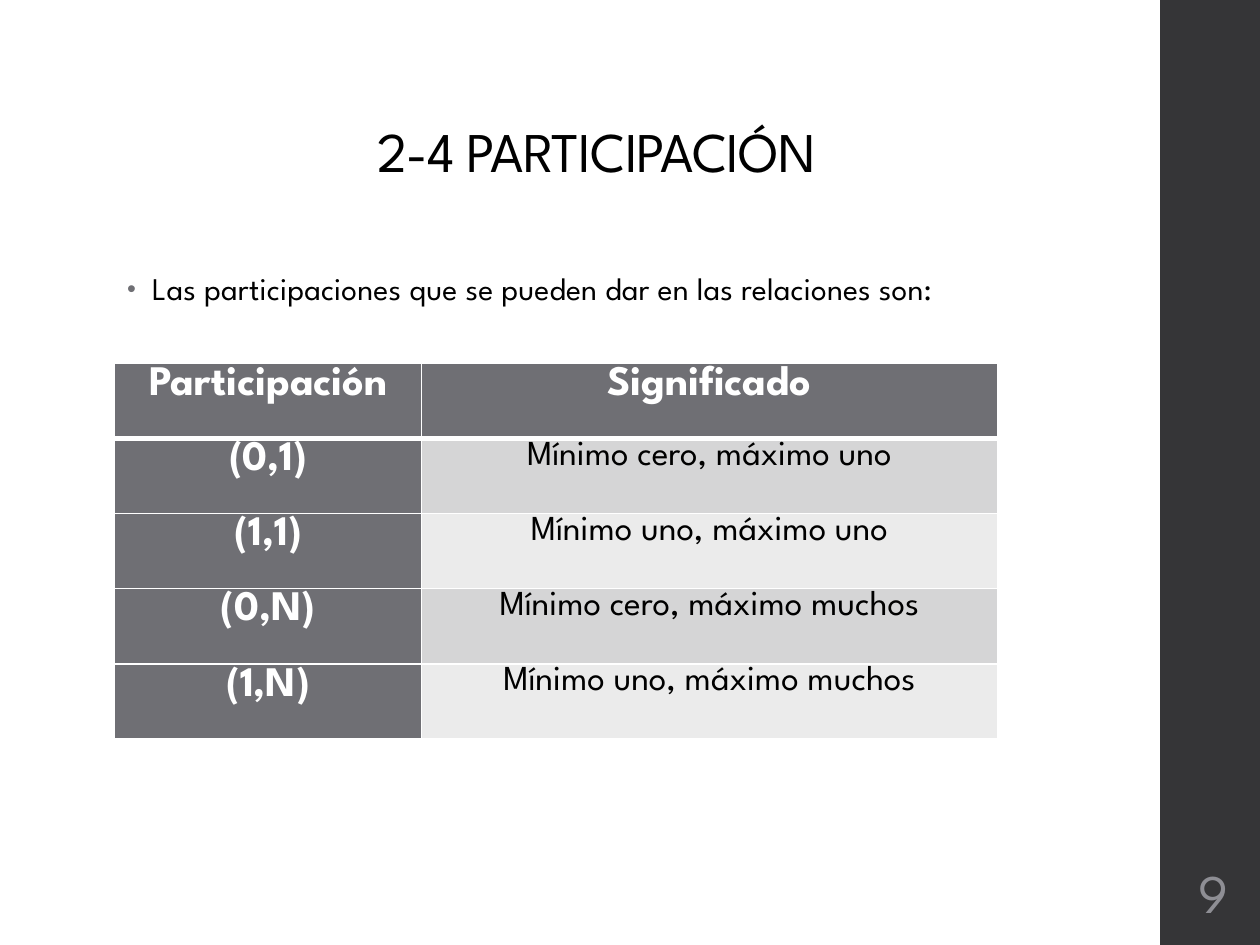
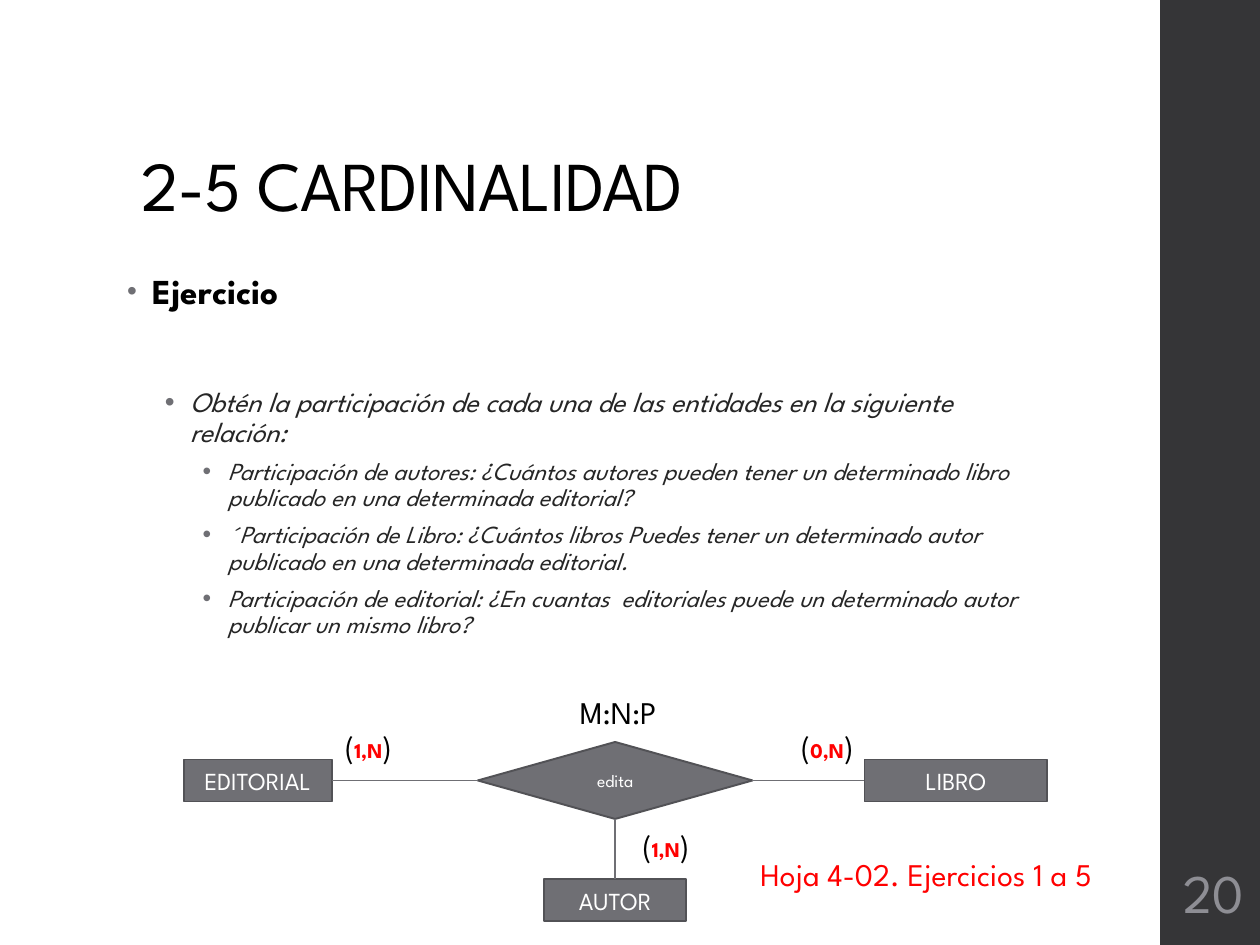
import pptx
import pptx.dml.color
import pptx.enum.shapes
import pptx.enum.text
import pptx.oxml
import pptx.oxml.ns
import pptx.util
import lxml.etree

Pt = pptx.util.Pt
ALIGN = pptx.enum.text.PP_ALIGN
ANCHOR = pptx.enum.text.MSO_ANCHOR
SHAPE = pptx.enum.shapes.MSO_SHAPE
TOP, LEFT, BOTTOM, RIGHT = range(4)


def color(hex_text):
    return pptx.dml.color.RGBColor.from_string(hex_text)


def add_element(parent, tag, **attributes):
    element = lxml.etree.SubElement(parent, pptx.oxml.ns.qn(tag))
    for name, value in attributes.items():
        element.set(name, str(value))
    return element


class Deck:
    font = "League Spartan"
    black, white, red = "000000", "FFFFFF", "FF0000"
    gray, outline, dark = "6F6F74", "525256", "353537"
    soft_black, number_gray = "262626", "8E8E94"
    stripes = ("D5D5D6", "EBEBEB")

    def __init__(self):
        self.presentation = pptx.Presentation()
        self.presentation.slide_width = Pt(720)
        self.presentation.slide_height = Pt(540)
        self.slide = None

    def start_slide(self, number):
        self.slide = self.presentation.slides.add_slide(self.presentation.slide_layouts[6])
        self.slide.background.fill.solid()
        self.slide.background.fill.fore_color.rgb = color(self.white)
        band = self.slide.shapes.add_shape(SHAPE.RECTANGLE, Pt(663), 0, Pt(57), Pt(540))
        self.paint(band, self.dark)
        frame = self.text_box(667, 486, 53, 47, ANCHOR.MIDDLE)
        frame.margin_left = frame.margin_right = Pt(2)
        paragraph = self.paragraph(frame, ALIGN.CENTER, after=6)
        self.run(paragraph, str(number), 31, self.number_gray)

    def paint(self, shape, fill, line=None):
        shape.shadow.inherit = False
        shape.fill.solid()
        shape.fill.fore_color.rgb = color(fill)
        if line:
            shape.line.color.rgb = color(line)
            shape.line.width = Pt(1.1)
        else:
            shape.line.fill.background()

    def text_box(self, left, top, width, height, anchor=ANCHOR.TOP):
        shape = self.slide.shapes.add_textbox(Pt(left), Pt(top), Pt(width), Pt(height))
        frame = shape.text_frame
        frame.word_wrap = True
        frame.vertical_anchor = anchor
        return frame

    def paragraph(self, frame, align=ALIGN.LEFT, spacing=None, before=0, after=0):
        paragraph = frame.paragraphs[0]
        if paragraph.runs:
            paragraph = frame.add_paragraph()
        paragraph.alignment = align
        paragraph.space_before = Pt(before)
        paragraph.space_after = Pt(after)
        if spacing:
            paragraph.line_spacing = spacing
        return paragraph

    def run(self, paragraph, text, size, ink, bold=False, italic=False, tracking=0):
        run = paragraph.add_run()
        run.text = text
        run.font.name = self.font
        run.font.size = Pt(size)
        run.font.color.rgb = color(ink)
        run.font.bold = bold
        run.font.italic = italic
        if tracking:
            run.font._element.set("spc", str(tracking))

    def title(self, text, size, box, align):
        frame = self.text_box(*box, ANCHOR.BOTTOM)
        paragraph = self.paragraph(frame, align, spacing=0.9)
        self.run(paragraph, text, size, self.black, tracking=-50)

    def bullet(self, frame, text, size, level=0, before=3, **style):
        if level:
            spacing, after, scale, ink = 0.9, 3, 100, self.soft_black
        else:
            spacing, before, after, scale, ink = 0.95, 14, 2, 80, self.black
            style["tracking"] = 10
        paragraph = self.paragraph(frame, ALIGN.LEFT, spacing, before, after)
        paragraph.level = level
        properties = paragraph._p.get_or_add_pPr()
        properties.set("marL", str(Pt(14.4 + 21.6 * level)))
        properties.set("indent", str(-Pt(14.4)))
        add_element(add_element(properties, "a:buClr"), "a:srgbClr", val=self.gray)
        add_element(properties, "a:buSzPct", val=scale * 1000)
        add_element(properties, "a:buFont", typeface="Arial")
        add_element(properties, "a:buChar", char="•")
        self.run(paragraph, text, size, ink, **style)

    def cell(self, cell, text, fill, emphasized, bottom=1):
        properties = cell._tc.get_or_add_tcPr()
        for side, width in (("L", 1), ("R", 1), ("T", 1), ("B", bottom)):
            line = add_element(properties, "a:ln" + side, w=Pt(width))
            add_element(add_element(line, "a:solidFill"), "a:srgbClr", val=self.white)
        cell.fill.solid()
        cell.fill.fore_color.rgb = color(fill)
        cell.margin_left = cell.margin_right = Pt(5)
        cell.margin_top = cell.margin_bottom = 0
        paragraph = self.paragraph(cell.text_frame, ALIGN.CENTER, spacing=1.07)
        if emphasized:
            self.run(paragraph, text, 24, self.white, bold=True)
        else:
            self.run(paragraph, text, 20, self.black)

    def table(self, rows, left, top, widths, row_height):
        table = self.slide.shapes.add_table(
            len(rows), len(widths), Pt(left), Pt(top),
            Pt(sum(widths)), Pt(row_height * len(rows))).table
        table.horz_banding = False
        for column, width in zip(table.columns, widths):
            column.width = Pt(width)
        for row_index, texts in enumerate(rows):
            table.rows[row_index].height = Pt(row_height)
            for column_index, text in enumerate(texts):
                heading = row_index == 0 or column_index == 0
                fill = self.gray if heading else self.stripes[(row_index - 1) % 2]
                self.cell(table.cell(row_index, column_index), text, fill, heading,
                          bottom=3 if row_index == 0 else 1)

    def node(self, kind, text, size, left, top, width, height):
        shape = self.slide.shapes.add_shape(kind, Pt(left), Pt(top), Pt(width), Pt(height))
        self.paint(shape, self.gray, self.outline)
        shape.text_frame.word_wrap = True
        shape.text_frame.vertical_anchor = ANCHOR.MIDDLE
        paragraph = self.paragraph(shape.text_frame, ALIGN.CENTER)
        self.run(paragraph, text, size, self.white)
        return shape

    def link(self, start, start_site, end, end_site):
        line = self.slide.shapes.add_connector(
            pptx.enum.shapes.MSO_CONNECTOR.STRAIGHT, 0, 0, 0, 0)
        line.begin_connect(start, start_site)
        line.end_connect(end, end_site)
        line.line.color.rgb = color(self.gray)
        line.line.width = Pt(0.75)
        add_element(line._element.spPr, "a:effectLst")

    def label(self, left, top, width, parts, align=ALIGN.LEFT):
        frame = self.text_box(left, top, width, 29)
        paragraph = self.paragraph(frame, align)
        for text, size, ink, bold in parts:
            self.run(paragraph, text, size, ink, bold)

    def participation(self, left, top, width, text):
        self.label(left, top, width, [
            ("(", 18, self.black, False),
            (text, 12, self.red, True),
            (")", 18, self.black, False)])


deck = Deck()

deck.start_slide(9)
body = deck.text_box(65.5, 152, 566.5, 50)
deck.bullet(body, "Las participaciones que se pueden dar en las relaciones son:", 18)
deck.table([
    ("Participación", "Significado"),
    ("(0,1)", "Mínimo cero, máximo uno"),
    ("(1,1)", "Mínimo uno, máximo uno"),
    ("(0,N)", "Mínimo cero, máximo muchos"),
    ("(1,N)", "Mínimo uno, máximo muchos"),
], 65.5, 207.5, (175.5, 329), 43)
deck.title("2-4 PARTICIPACIÓN", 32, (39, 47, 604, 62), ALIGN.CENTER)

deck.start_slide(20)
deck.title("2-5 CARDINALIDAD", 40, (74, 29, 572.5, 104), ALIGN.LEFT)
body = deck.text_box(65.5, 152, 527, 288)
deck.bullet(body, "Ejercicio", 20, bold=True)
deck.bullet(body, "Obtén la participación de cada una de las entidades en la siguiente relación:",
            16, level=1, before=41.5, italic=True)
for question in (
    "Participación de autores: ¿Cuántos autores pueden tener un determinado libro "
    "publicado en una determinada editorial?",
    "´Participación de Libro: ¿Cuántos libros Puedes tener un determinado autor "
    "publicado en una determinada editorial.",
    "Participación de editorial: ¿En cuantas  editoriales puede un determinado autor "
    "publicar un mismo libro?",
):
    deck.bullet(body, question, 14, level=2, italic=True)

publisher = deck.node(SHAPE.RECTANGLE, "EDITORIAL", 14, 105, 434, 84.5, 24)
book = deck.node(SHAPE.RECTANGLE, "LIBRO", 14, 494, 434, 104.5, 24)
relation = deck.node(SHAPE.DIAMOND, "edita", 10, 273, 424, 157, 44)
author = deck.node(SHAPE.RECTANGLE, "AUTOR", 14, 311, 502.5, 81, 24)
deck.link(publisher, RIGHT, relation, LEFT)
deck.link(relation, RIGHT, book, LEFT)
deck.link(relation, BOTTOM, author, TOP)
deck.label(313, 392.5, 80.5, [("M:N:P", 18, deck.black, False)], ALIGN.CENTER)
deck.participation(450.5, 412, 51, "0,N")
deck.participation(190, 412, 60.5, "1,N")
deck.participation(360, 468.5, 60.5, "1,N")
deck.label(427.5, 485, 272, [("Hoja 4-02. Ejercicios 1 a 5", 18, deck.red, False)])

deck.presentation.save("out.pptx")
